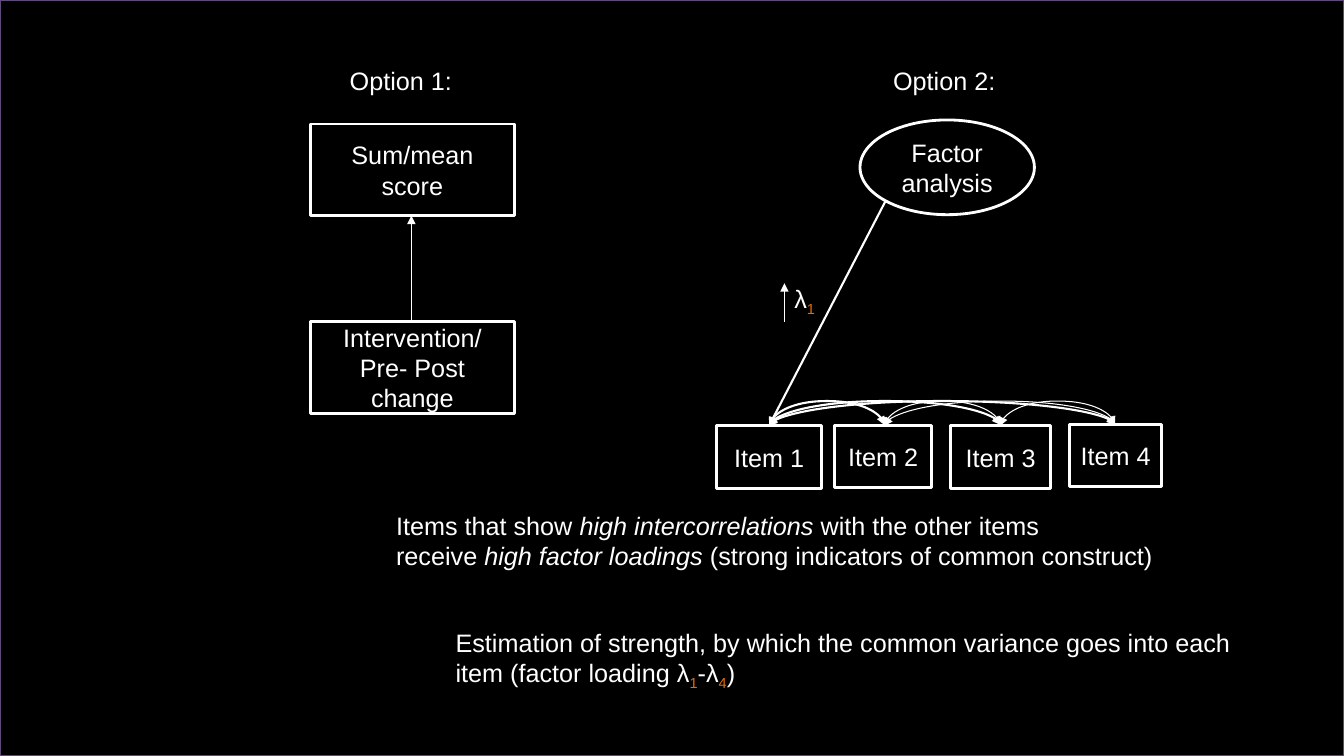
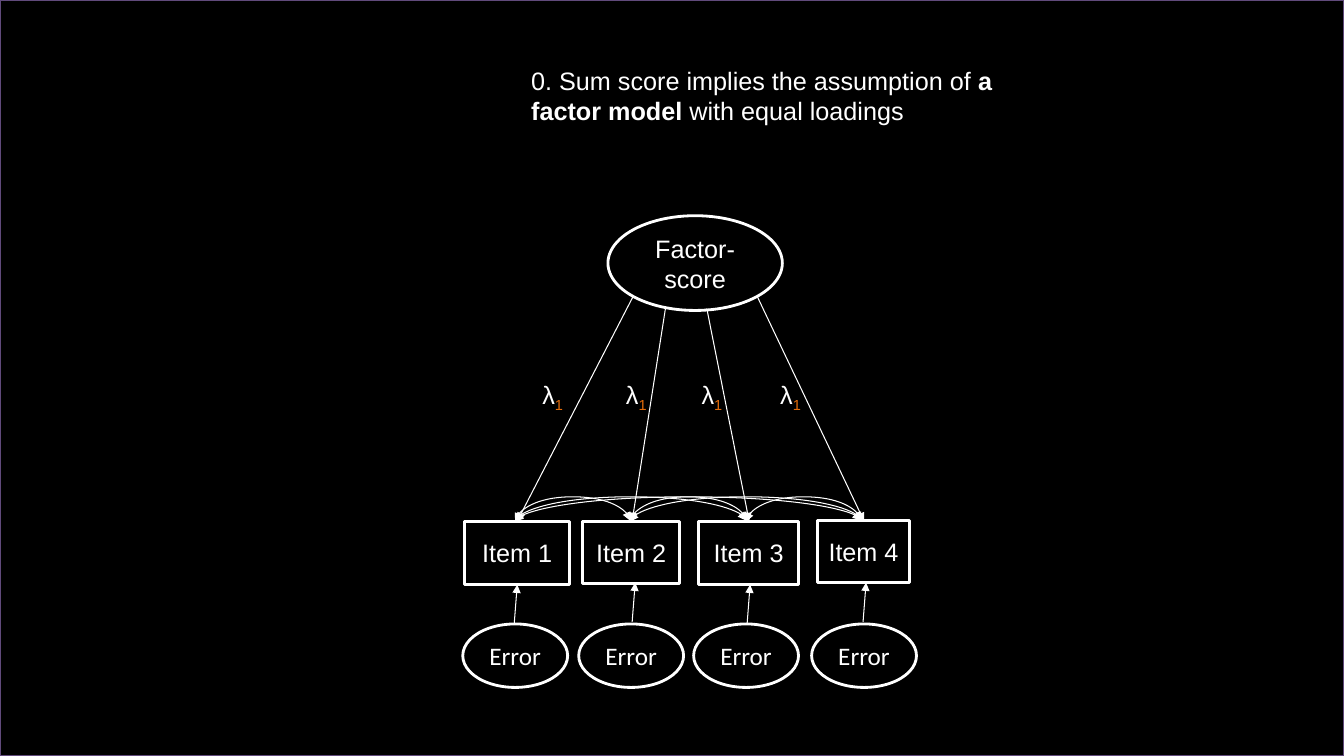
from itertools import combinations

from lxml import etree
from pptx import Presentation
from pptx.dml.color import RGBColor
from pptx.enum import shapes, text
from pptx.oxml import ns
from pptx.util import Inches, Pt

WHITE, BLACK, ORANGE, PURPLE = "FFFFFF", "000000", "E46C0A", "604A7B"
BASE = {"name": "Arial", "size": Pt(18)}
ITALIC, BOLD = {"italic": True}, {"bold": True}
RECT = shapes.MSO_SHAPE.RECTANGLE
OVAL = shapes.MSO_SHAPE.OVAL
THIN, THICK, OUTLINE = 0.75, 1.5, 2

ITEM_LEFTS = [0, 1.17, 2.32, 3.5]
ITEM_TOPS = [0, 0, 0, -0.01]
ITEM_SIZES = [(1.04, 0.63), (0.96, 0.62), (0.99, 0.63), (0.91, 0.62)]
ARC_XS = [0, 1.14, 2.29, 3.43]
ARC_RISE, ARC_DROP = 0.25, 0.01


def rgb(value):
    return RGBColor.from_string(value)


def sub(value):
    return value, {"color": ORANGE, "baseline": -25000}


def add_runs(p, runs):
    for run in runs:
        content, style = (run, {}) if isinstance(run, str) else run
        style = BASE | {"color": WHITE} | style
        color = style.pop("color")
        baseline = style.pop("baseline", None)
        r = p.add_run()
        r.text = content
        r.font.color.rgb = rgb(color)
        for name, value in style.items():
            setattr(r.font, name, value)
        if baseline:
            r.font._element.set("baseline", str(baseline))


def add_text(s, left, top, width, height, *paragraphs):
    box = s.shapes.add_textbox(*map(Inches, (left, top, width, height)))
    tf = box.text_frame
    tf.word_wrap = True
    tf.auto_size = text.MSO_AUTO_SIZE.SHAPE_TO_FIT_TEXT
    for i, runs in enumerate(paragraphs):
        add_runs(tf.add_paragraph() if i else tf.paragraphs[0], runs)


def add_outline(s, kind, left, top, width, height, color=WHITE):
    sp = s.shapes.add_shape(kind, *map(Inches, (left, top, width, height)))
    sp.shadow.inherit = False
    sp.fill.background()
    sp.line.color.rgb = rgb(color)
    sp.line.width = Pt(OUTLINE)
    return sp


def add_node(s, kind, left, top, width, height, label, **style):
    tf = add_outline(s, kind, left, top, width, height).text_frame
    tf.word_wrap = True
    tf.vertical_anchor = text.MSO_ANCHOR.MIDDLE
    p = tf.paragraphs[0]
    p.alignment = text.PP_ALIGN.CENTER
    add_runs(p, [(label, style)])


def add_line(s, kind, start, end, weight, ends=("tailEnd",)):
    line = s.shapes.add_connector(kind, *map(Inches, (*start, *end)))
    line.line.color.rgb = rgb(WHITE)
    line.line.width = Pt(weight)
    ln = line.line._get_or_add_ln()
    for tag in ends:
        etree.SubElement(ln, ns.qn(f"a:{tag}"), type="triangle")
    etree.SubElement(line.element.spPr, ns.qn("a:effectLst"))
    return line


def add_arrow(s, start, end, weight=THIN):
    add_line(s, shapes.MSO_CONNECTOR.STRAIGHT, start, end, weight)


def add_arc(s, x1, x2, y, weight):
    cx, half, drop = (x1 + x2) / 2, (x2 - x1) / 2, ARC_DROP / 2
    arc = add_line(s, shapes.MSO_CONNECTOR.CURVE, (cx + drop, y + half),
                   (cx - drop, y - half), weight, ("headEnd", "tailEnd"))
    sp_pr = arc.element.spPr
    sp_pr.find(ns.qn("a:xfrm")).set("rot", str(90 * 60000))
    guides = sp_pr.find(ns.qn("a:prstGeom")).find(ns.qn("a:avLst"))
    adjust = round(ARC_RISE / ARC_DROP * 100000)
    etree.SubElement(guides, ns.qn("a:gd"), name="adj1", fmla=f"val {adjust}")


def add_items(s, left, top, arc_left, first_weight=THIN):
    places = zip(ITEM_LEFTS, ITEM_TOPS, ITEM_SIZES)
    for i, (dx, dy, size) in enumerate(places, 1):
        add_node(s, RECT, left + dx, top + dy, *size, f"Item {i}")
    for x1, x2 in combinations(ARC_XS, 2):
        weight = THIN if x1 else first_weight
        add_arc(s, arc_left + x1, arc_left + x2, top, weight)


def add_loading(s, left, top):
    add_text(s, left, top, 0.78, 0.4, ["λ", sub("1")])


def style_master(prs, s):
    master = prs.slide_master
    master.background.fill.solid()
    master.background.fill.fore_color.rgb = rgb(BLACK)
    frame = add_outline(s, RECT, 0, 0, 13.33, 7.5, PURPLE)
    master.shapes.element.append(frame.element)


def options_slide(s):
    for number, left in enumerate((3.37, 8.76), 1):
        add_text(s, left, 0.6, 1.32, 0.4, [f"Option {number}:"])
    add_node(s, RECT, 3.08, 1.23, 2.02, 0.91, "Sum/mean score")
    add_node(s, RECT, 3.08, 3.19, 2.02, 0.91, "Intervention/Pre- Post change")
    add_arrow(s, (4.08, 3.19), (4.08, 2.14))
    add_node(s, OVAL, 8.53, 1.19, 1.73, 0.94, "Factor analysis")
    add_items(s, 7.11, 4.22, 7.63, THICK)
    add_arrow(s, (8.78, 2), (7.63, 4.22), THICK)
    add_loading(s, 7.78, 2.76)
    add_arrow(s, (7.78, 3.19), (7.78, 2.81))
    add_text(s, 3.83, 5.01, 8.21, 0.71,
             ["Items that show ", ("high intercorrelations ", ITALIC),
              "with the other items"],
             ["receive ", ("high factor loadings ", ITALIC),
              "(strong indicators of common construct)"])
    add_text(s, 4.42, 6.17, 8.21, 0.71,
             ["Estimation of strength, by which the common variance goes "
              "into each item (factor loading λ",
              sub("1"), "-λ", sub("4"), ")"])


def factor_model_slide(s):
    add_text(s, 5.17, 0.6, 5.33, 0.71,
             ["0. Sum score implies the assumption of ",
              ("a factor model ", BOLD), "with equal loadings"])
    add_node(s, OVAL, 6.03, 2.14, 1.73, 0.94, "Factor-score")
    add_items(s, 4.61, 5.17, 5.11)
    starts = [(6.28, 2.94), (6.6, 3.06), (7.01, 3.06), (7.51, 2.94)]
    tips = [5.13, 6.27, 7.43, 8.57]
    loadings = [5.28, 6.11, 6.86, 7.64]
    errors = [4.59, 5.74, 6.88, 8.05]
    error_arrows = [(5.1, 6.19), (6.27, 6.17), (7.41, 6.19), (8.56, 6.17)]
    columns = zip(starts, tips, loadings, errors, error_arrows)
    for start, tip, loading, error, (x, y) in columns:
        add_arrow(s, start, (tip, 5.17))
        add_loading(s, loading, 3.71)
        add_node(s, OVAL, error, 6.19, 1.04, 0.63, "Error", name="Calibri")
        add_arrow(s, (x, y), (x + 0.03, y - 0.39))


def main():
    prs = Presentation()
    prs.slide_width, prs.slide_height = Inches(13.33), Inches(7.5)
    for i, build in enumerate((options_slide, factor_model_slide)):
        s = prs.slides.add_slide(prs.slide_layouts[6])
        if i == 0:
            style_master(prs, s)
        build(s)
    prs.save("out.pptx")


if __name__ == "__main__":
    main()
